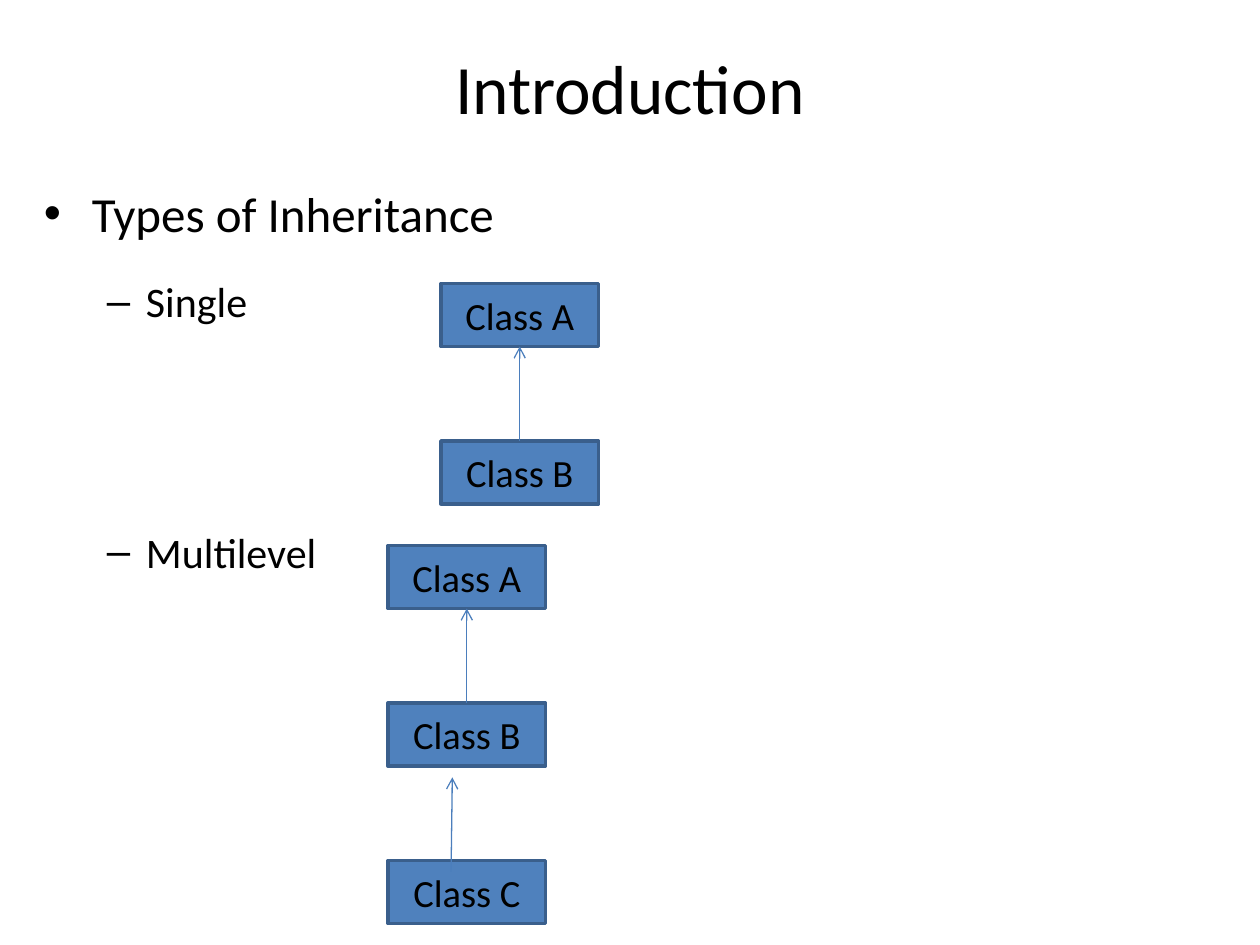
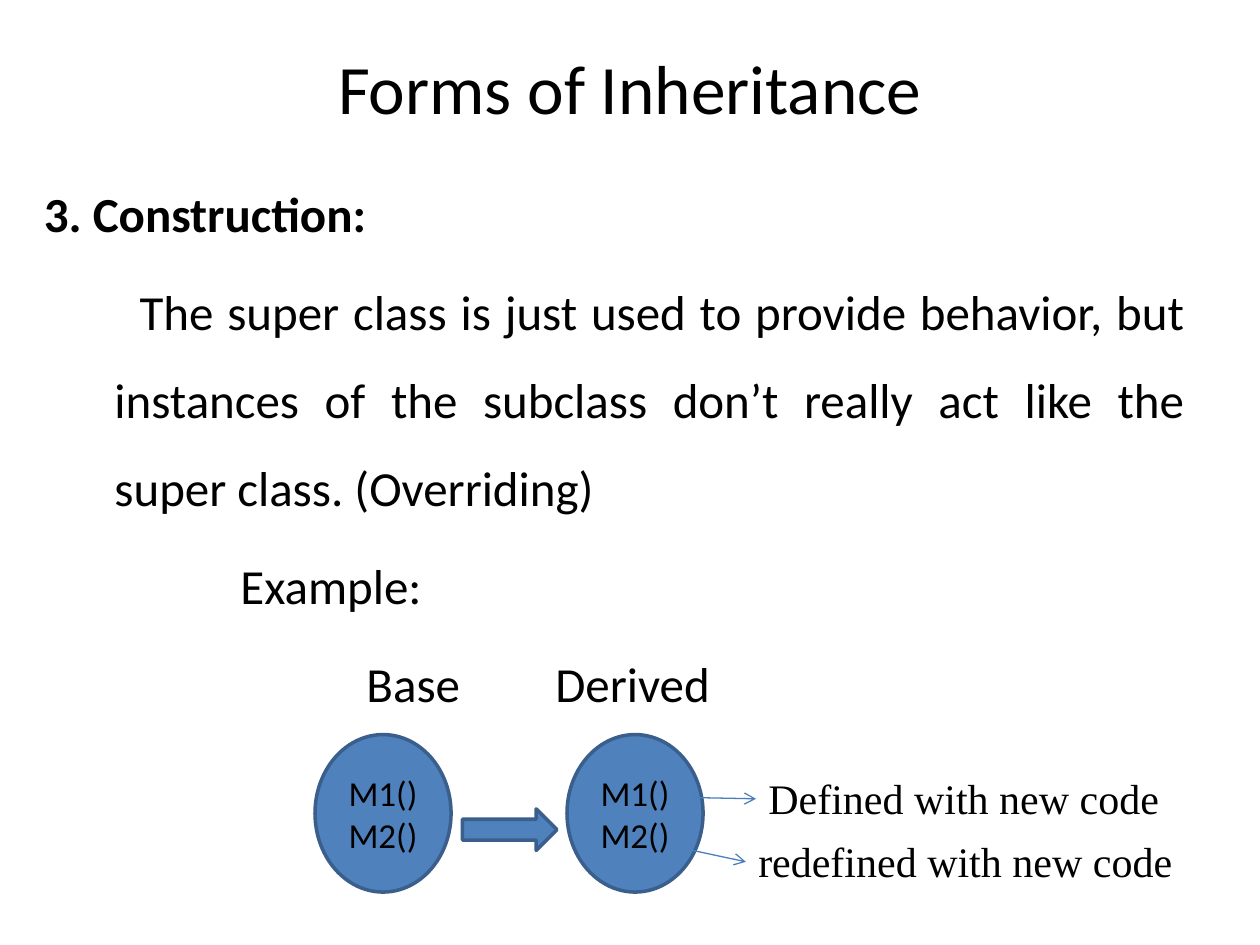
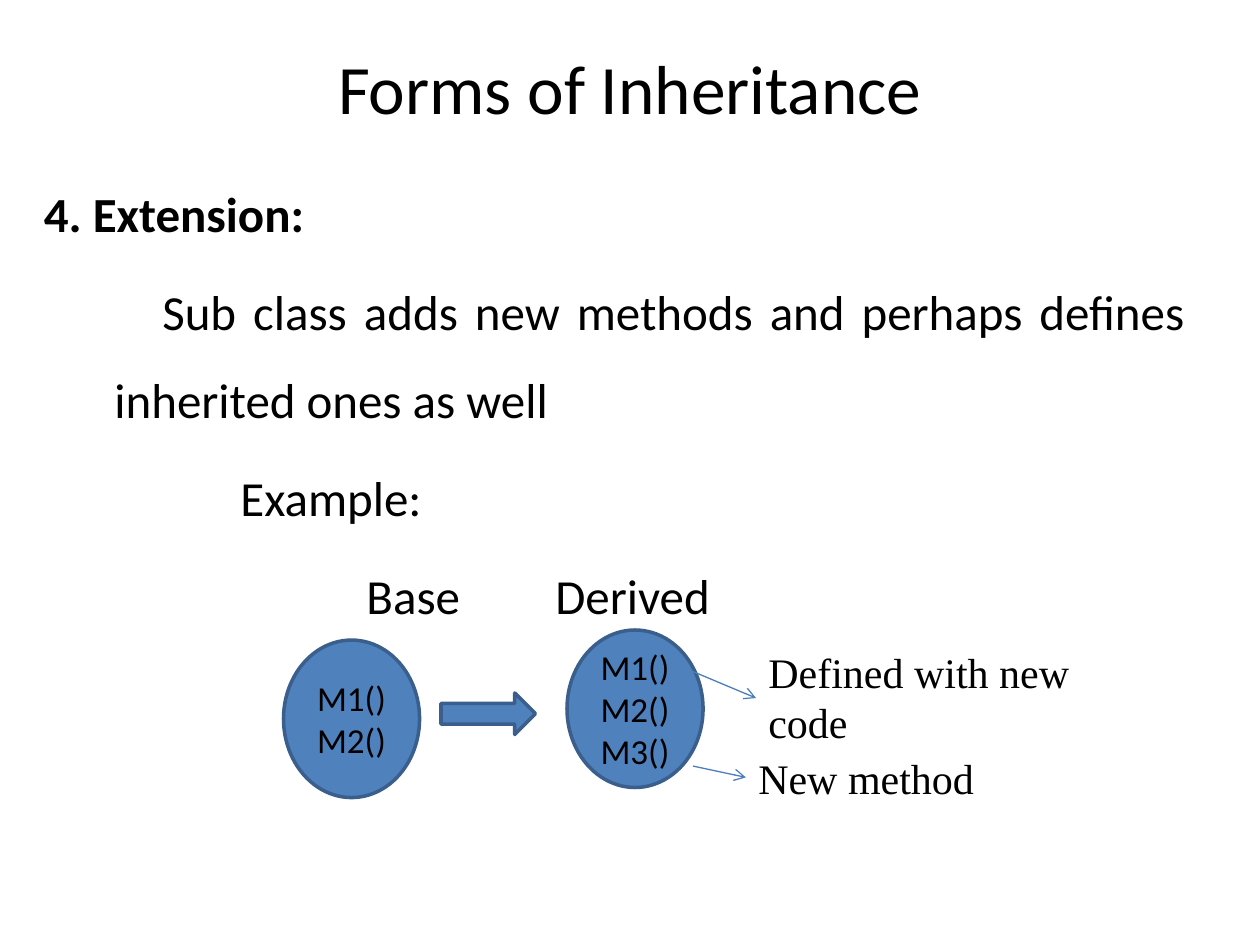
"""Builds three slides on the types and forms of inheritance."""
from lxml.etree import SubElement
from pptx import Presentation
from pptx.dml.color import RGBColor
from pptx.enum.shapes import MSO_CONNECTOR, MSO_SHAPE
from pptx.enum.text import MSO_ANCHOR, PP_ALIGN
from pptx.oxml.ns import qn
from pptx.util import Inches, Pt

BLACK = RGBColor(0x00, 0x00, 0x00)
BLUE = RGBColor(0x4F, 0x81, 0xBD)
EDGE = RGBColor(0x3A, 0x5F, 0x8C)
WIRE = RGBColor(0x4B, 0x7E, 0xBC)
SANS, SERIF = "Calibri", "Times New Roman"

TITLE = (0.5, 0.3, 9, 0.78)
BODY = (0.25, 1.17, 9.25, 6.08)
BOX = (1.25, 0.5)
STEP = 1.25
OVAL = (1.08, 1.25)
ARROW = (0.75, 0.33)

TYPES = [
    ("Types of Inheritance", 28, 0.38, -0.38, 5.6, "•"),
    ("Single", 24, 0.81, -0.31, 4.8, "–"),
    ("Multilevel", 24, 0.81, -0.31, 100, "–"),
]
CHAINS = [
    (3.5, 2.25, ["Class A", "Class B"]),
    (3.08, 4.33, ["Class A", "Class B", "Class C"]),
]
LOOSE = ("Class C", (3.58, 6.92), (3.59, 6.17))

FORMS = [
    {
        "head": "3. Construction:",
        "text": "The super class is just used to provide behavior, but instances "
                "of the subclass don’t really act like the super class. (Overriding)",
        "indent": 0.2,
        "ovals": [(2.5, 5.83, ["M1()", "M2()"]), (4.5, 5.83, ["M1()", "M2()"])],
        "arrow": (3.67, 6.42),
        "notes": [("Defined with new code", (6, 6.08, 4, 0.5)),
                  ("redefined with new code", (5.92, 6.58, 3.5, 0.5))],
        "wires": [((5.5, 6.33), (6, 6.34)), ((5.5, 6.75), (5.92, 6.84))],
    },
    {
        "head": "4. Extension:",
        "text": "Sub class adds new methods and perhaps defines inherited ones as well",
        "indent": 0.38,
        "ovals": [(2.25, 5.08, ["M1()", "M2()"]), (4.5, 5, ["M1()", "M2()", "M3()"])],
        "arrow": (3.5, 5.5),
        "notes": [("Defined with new code", (6, 5.08, 3, 0.91)),
                  ("New method", (5.92, 5.92, 3, 0.5))],
        "wires": [((5.5, 5.33), (6, 5.54)), ((5.5, 6.08), (5.92, 6.17))],
    },
]


def style(par, size, font=SANS, align=PP_ALIGN.LEFT):
    par.alignment = align
    par.font.size = Pt(size)
    par.font.name = font
    par.font.color.rgb = BLACK


def add_text(slide, text, place, size, font=SANS, align=PP_ALIGN.LEFT):
    frame = slide.shapes.add_textbox(*map(Inches, place)).text_frame
    frame.word_wrap = True
    frame.text = text
    style(frame.paragraphs[0], size, font, align)
    return frame


def add_title(slide, text):
    frame = add_text(slide, text, TITLE, 39.6, align=PP_ALIGN.CENTER)
    frame.vertical_anchor = MSO_ANCHOR.MIDDLE


def add_body(slide, items):
    frame = slide.shapes.add_textbox(*map(Inches, BODY)).text_frame
    frame.word_wrap = True
    for i, (text, size, left, indent, gap, mark) in enumerate(items):
        par = frame.add_paragraph() if i else frame.paragraphs[0]
        par.text = text
        style(par, size, align=PP_ALIGN.JUSTIFY)
        par.line_spacing = 1.5
        par.space_before = Pt(gap)
        props = par._p.get_or_add_pPr()
        props.set("marL", str(Inches(left)))
        props.set("indent", str(Inches(indent)))
        if mark:
            SubElement(props, qn("a:buFont")).set("typeface", "Arial")
            SubElement(props, qn("a:buChar")).set("char", mark)
            props.append(props.find(qn("a:defRPr")))
    return frame


def add_node(slide, kind, place, lines=(), size=20):
    node = slide.shapes.add_shape(kind, *map(Inches, place))
    node.shadow.inherit = False
    node.fill.solid()
    node.fill.fore_color.rgb = BLUE
    node.line.color.rgb = EDGE
    node.line.width = Pt(2)
    if lines:
        node.text_frame.text = "\n".join(lines)
        node.text_frame.vertical_anchor = MSO_ANCHOR.MIDDLE
        for par in node.text_frame.paragraphs:
            style(par, size, align=PP_ALIGN.CENTER)
    return node


def add_wire(slide, start, end):
    wire = slide.shapes.add_connector(
        MSO_CONNECTOR.STRAIGHT, *map(Inches, (*start, *end)))
    wire.line.color.rgb = WIRE
    wire.line.width = Pt(0.75)
    SubElement(wire.line._get_or_add_ln(), qn("a:tailEnd")).set("type", "arrow")
    SubElement(wire._element.spPr, qn("a:effectLst"))
    return wire


def add_chain(slide, left, top, names):
    above = None
    for i, name in enumerate(names):
        place = (left, top + i * STEP, *BOX)
        node = add_node(slide, MSO_SHAPE.RECTANGLE, place, [name], 22)
        if name == LOOSE[0]:
            add_wire(slide, *LOOSE[1:])
        elif above:
            mid = left + BOX[0] / 2
            wire = add_wire(slide, (mid, place[1]), (mid, place[1] - STEP + BOX[1]))
            wire.begin_connect(node, 0)
            wire.end_connect(above, 2)
        above = node


def add_form(slide, form):
    add_title(slide, "Forms of Inheritance")
    frame = add_body(slide, [
        (form["head"], 28, 0.56, -0.56, 5.6, None),
        (form["text"], 28, 0.56, form["indent"], 5.6, None),
        ("Example:", 28, 1.56, 0, 5.6, None),
        ("Base\t\tDerived", 28, 2.56, 0, 5.6, None),
    ])
    frame.paragraphs[0].font.bold = True
    for left, top, lines in form["ovals"]:
        add_node(slide, MSO_SHAPE.OVAL, (left, top, *OVAL), lines)
    add_node(slide, MSO_SHAPE.RIGHT_ARROW, (*form["arrow"], *ARROW))
    for text, place in form["notes"]:
        add_text(slide, text, place, 24, SERIF)
    for start, end in form["wires"]:
        add_wire(slide, start, end)


def main():
    deck = Presentation()
    deck.slide_width, deck.slide_height = Inches(10), Inches(7.5)
    blank = deck.slide_layouts[6]
    slide = deck.slides.add_slide(blank)
    add_title(slide, "Introduction")
    add_body(slide, TYPES)
    for chain in CHAINS:
        add_chain(slide, *chain)
    for form in FORMS:
        add_form(deck.slides.add_slide(blank), form)
    deck.save("out.pptx")


if __name__ == "__main__":
    main()
